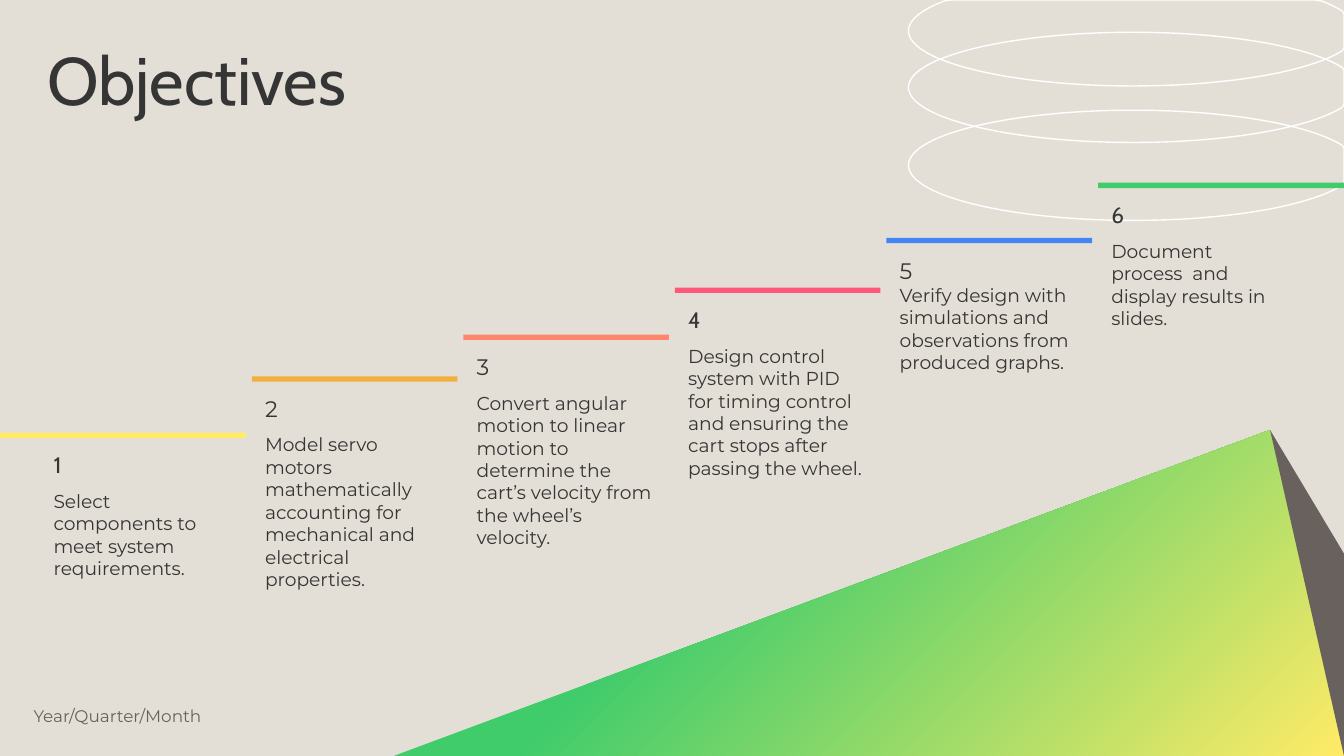
from copy import deepcopy
from math import cos, sin, radians
from pptx import Presentation
from pptx.dml.color import RGBColor as RGB
from pptx.enum.shapes import MSO_SHAPE as Shape
from pptx.enum.text import MSO_ANCHOR as Anchor, MSO_AUTO_SIZE as Auto, PP_ALIGN as Align
from pptx.util import Inches, Pt

SAND = RGB(0xE3, 0xDF, 0xD6)
WHITE = RGB(0xFF, 0xFF, 0xFF)
INK = RGB(0x35, 0x35, 0x35)
STONE = RGB(0x69, 0x61, 0x5E)
YELLOW = RGB(0xFF, 0xEB, 0x67)
AMBER = RGB(0xF0, 0xB0, 0x3B)
CORAL = RGB(0xFF, 0x86, 0x6D)
PINK = RGB(0xFF, 0x57, 0x77)
BLUE = RGB(0x42, 0x85, 0xF4)
GREEN = RGB(0x41, 0xCC, 0x6B)
SANS, HEAD = "Montserrat", "Cabin"
WIDE = 10
HIGH = WIDE * 9 / 16

prs = Presentation()
prs.slide_width, prs.slide_height = Inches(WIDE), Inches(HIGH)
slide = prs.slides.add_slide(prs.slide_layouts[5])
slide.background.fill.solid()
slide.background.fill.fore_color.rgb = SAND
shapes = slide.shapes


def outline(points):
    """Add a closed polygon through points given in inches."""
    spots = [(Inches(x), Inches(y)) for x, y in points]
    build = shapes.build_freeform(*spots[0])
    build.add_line_segments(spots[1:], close=True)
    form = build.convert_to_shape()
    form.shadow.inherit = False
    return form


def write(box, lines, pad=0.1, anchor=Anchor.TOP):
    """Fill a box with (text, font, size, colour, paragraph format) lines."""
    frame = box.text_frame
    look = {"word_wrap": True, "auto_size": Auto.NONE, "vertical_anchor": anchor}
    for side in ("left", "right", "top", "bottom"):
        look["margin_" + side] = Inches(pad)
    for key, value in look.items():
        setattr(frame, key, value)
    for i, (text, font, size, color, form) in enumerate(lines):
        para = frame.add_paragraph() if i else frame.paragraphs[0]
        for key, value in {"alignment": Align.LEFT, **form}.items():
            setattr(para, key, value)
        run = para.add_run()
        run.text = text
        run.font.name, run.font.size = font, Pt(size)
        run.font.color.rgb = color


# Rings, cut off at the top and right edges of the slide
for mid in (0.23, 0.65, 1.23):
    turns = [radians(a) for a in range(0, 360, 3)]
    ring = outline([(min(8.43 + 1.67 * cos(t), WIDE), max(mid + 0.41 * sin(t), 0))
                    for t in turns])
    ring.fill.background()
    ring.line.color.rgb = WHITE
    ring.line.width = Pt(0.75)

# Pyramid
peak = (9.45, 3.2)
front = outline([peak, (WIDE, HIGH), (2.93, HIGH)])
front.line.fill.background()
front.fill.gradient()
front.fill.gradient_angle = 315
stops = front.fill.gradient_stops
for stop, color, pos in zip(stops, (GREEN, YELLOW), (0, 1)):
    stop.color.rgb, stop.position = color, pos
first = front._element.spPr.find(".//{*}gs")
hold = deepcopy(first)
hold.set("pos", "35000")
first.addnext(hold)

side = outline([peak, (WIDE, HIGH), (WIDE, 4.12)])
side.fill.solid()
side.fill.fore_color.rgb = STONE
side.line.fill.background()

# Title and date
title = shapes.title
title.left, title.top = Inches(0.25), Inches(0.25)
title.width, title.height = Inches(5.91), Inches(0.75)
write(title, [("Objectives", HEAD, 36, INK, {"line_spacing": 0.9})])
date = shapes.add_textbox(Inches(0.25), Inches(5.22), Inches(2.12), Inches(0.21))
write(date, [("Year/Quarter/Month", SANS, 9, STONE, {})], 0, Anchor.MIDDLE)

# Rising steps: bar top, bar colour, number font, space before text, text
steps = [
    (3.22, YELLOW, HEAD, 6, "Select components to meet system requirements."),
    (2.8, AMBER, SANS, 6, "Model servo motors mathematically accounting for "
     "mechanical and electrical properties."),
    (2.49, CORAL, SANS, 6, "Convert angular motion to linear motion to determine "
     "the cart’s velocity from the wheel’s velocity."),
    (2.14, PINK, HEAD, 6, "Design control system with PID for timing control and "
     "ensuring the cart stops after passing the wheel."),
    (1.77, BLUE, SANS, 0, "Verify design with simulations and observations from "
     "produced graphs."),
    (1.36, GREEN, HEAD, 6, "Document process  and display results in slides."),
]
last = len(steps) - 1
pitch = (8.17 - 0.3) / last
for i, (top, color, font, gap, text) in enumerate(steps):
    left = 0.3 + pitch * i
    start = left if i else 0
    end = left + 1.53 if i < last else WIDE
    bar = shapes.add_shape(Shape.RECTANGLE, Inches(start), Inches(top),
                           Inches(end - start), Inches(0.04))
    bar.shadow.inherit = False
    bar.fill.solid()
    bar.fill.fore_color.rgb = color
    bar.line.fill.background()
    box = shapes.add_textbox(Inches(left), Inches(top + 0.04), Inches(1.51), Inches(1.3))
    write(box, [(str(i + 1), font, 12, INK, {}),
                (text, SANS, 10, INK, {"space_before": Pt(gap)})])

prs.save("out.pptx")
